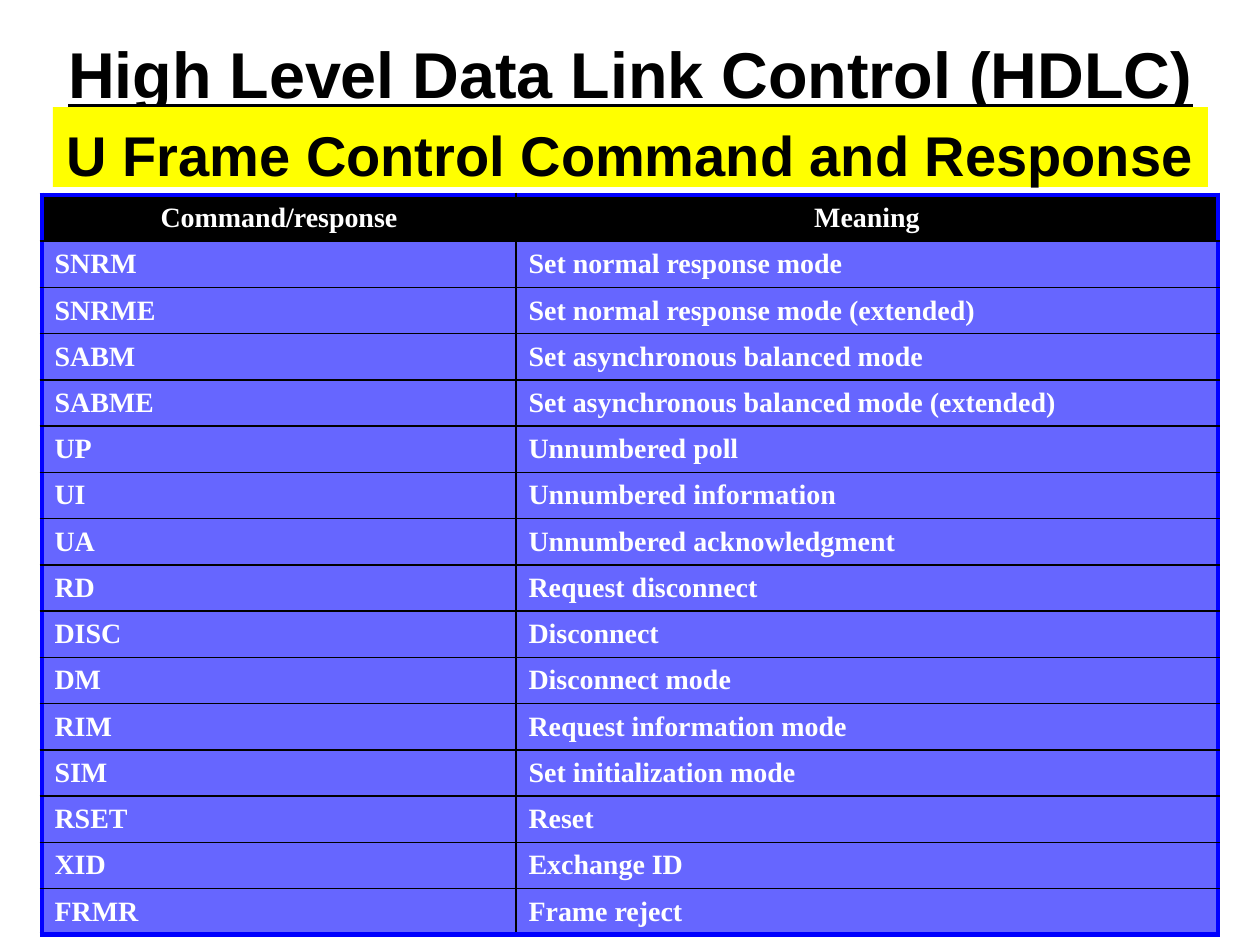
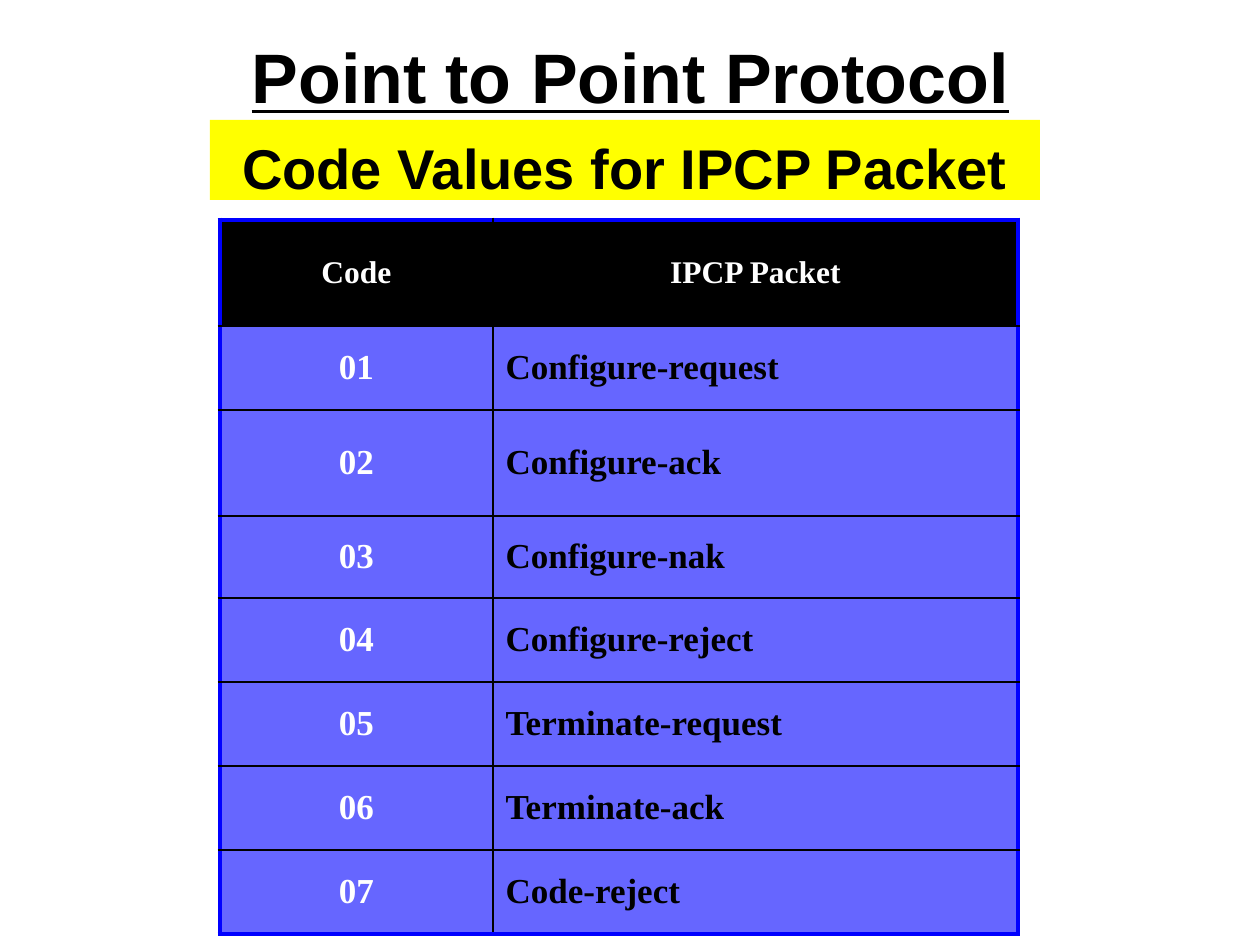
from lxml import etree
from pptx import Presentation
from pptx import util as u
from pptx.dml.color import RGBColor
from pptx.enum import shapes, text
from pptx.oxml import ns

PX = 914400 / 126
COLORS = {"black": "000000", "white": "FFFFFF", "band": "FFFF00",
          "body": "6666FF", "frame": "0000FF"}
HEADING_FONT, TABLE_FONT = "Arial", "Times New Roman"
LEFT, CENTER = text.PP_ALIGN.LEFT, text.PP_ALIGN.CENTER

COMMANDS = [
    ("Command/response", "Meaning"),
    ("SNRM", "Set normal response mode"),
    ("SNRME", "Set normal response mode (extended)"),
    ("SABM", "Set asynchronous balanced mode"),
    ("SABME", "Set asynchronous balanced mode (extended)"),
    ("UP", "Unnumbered poll"),
    ("UI", "Unnumbered information"),
    ("UA", "Unnumbered acknowledgment"),
    ("RD", "Request disconnect"),
    ("DISC", "Disconnect"),
    ("DM", "Disconnect mode"),
    ("RIM", "Request information mode"),
    ("SIM", "Set initialization mode"),
    ("RSET", "Reset"),
    ("XID", "Exchange ID"),
    ("FRMR", "Frame reject"),
]
PACKET_NAMES = ["Configure-request", "Configure-ack", "Configure-nak",
                "Configure-reject", "Terminate-request", "Terminate-ack",
                "Code-reject"]
PACKETS = [("Code", "IPCP Packet")] + [
    (f"{code:02}", name) for code, name in enumerate(PACKET_NAMES, 1)]


def px(length):
    return u.Emu(round(length * PX))


def rgb(name):
    return RGBColor.from_string(COLORS[name])


def write(frame, words, size, font=HEADING_FONT, color="black", align=CENTER,
          underline=False):
    para = frame.paragraphs[0]
    para.alignment = align
    span = para.add_run()
    span.text = words
    span.font.size = u.Pt(size)
    span.font.name = font
    span.font.bold = True
    span.font.underline = underline
    span.font.color.rgb = rgb(color)


def set_borders(cell, outer_sides):
    """Draw blue frame lines on the outer sides and thin black lines elsewhere."""
    properties = cell._tc.get_or_add_tcPr()
    for index, side in enumerate("LRTB"):
        color, width = ("frame", 3) if side in outer_sides else ("black", 1)
        line = etree.Element(ns.qn(f"a:ln{side}"), w=str(u.Pt(width)))
        fill = etree.SubElement(line, ns.qn("a:solidFill"))
        etree.SubElement(fill, ns.qn("a:srgbClr"), val=COLORS[color])
        properties.insert(index, line)


class SlideBuilder:
    def __init__(self, deck):
        self.deck = deck
        self.page = None

    def new_page(self):
        self.page = self.deck.slides.add_slide(self.deck.slide_layouts[6])

    def prepare_frame(self, box):
        frame = box.text_frame
        frame.word_wrap = True
        frame.vertical_anchor = text.MSO_ANCHOR.TOP
        frame.margin_top, frame.margin_bottom = px(13), 0
        return frame

    def title(self, words, size):
        box = self.page.shapes.add_textbox(px(32), px(21), px(1197), px(158))
        write(self.prepare_frame(box), words, size, underline=True)

    def band(self, words, left, top, width):
        box = self.page.shapes.add_shape(shapes.MSO_SHAPE.RECTANGLE, px(left),
                                         px(top), px(width), px(80))
        box.shadow.inherit = False
        box.fill.solid()
        box.fill.fore_color.rgb = rgb("band")
        box.line.fill.background()
        write(self.prepare_frame(box), words, 32)

    def table(self, rows, left, top, widths, heights, header_size, body_size,
              aligns, colors):
        """Fill a framed table; aligns and colors apply to the body columns."""
        grid = self.page.shapes.add_table(
            len(rows), len(widths), px(left), px(top),
            px(sum(widths)), px(sum(heights))).table
        grid.first_row = grid.horz_banding = False
        for column, width in zip(grid.columns, widths):
            column.width = px(width)
        for row, height in zip(grid.rows, heights):
            row.height = px(height)
        last_row, last_column = len(rows) - 1, len(widths) - 1
        for r, entries in enumerate(rows):
            for c, words in enumerate(entries):
                cell = grid.cell(r, c)
                cell.vertical_anchor = text.MSO_ANCHOR.MIDDLE
                cell.fill.solid()
                cell.fill.fore_color.rgb = rgb("body" if r else "black")
                edges = {"L": c == 0, "R": c == last_column,
                         "T": r == 0, "B": r == last_row}
                set_borders(cell, [side for side, outer in edges.items() if outer])
                write(cell.text_frame, words, body_size if r else header_size,
                      font=TABLE_FONT, color=colors[c] if r else "white",
                      align=aligns[c] if r else CENTER)


def main():
    deck = Presentation()
    deck.slide_width, deck.slide_height = px(1260), px(945)
    builder = SlideBuilder(deck)

    builder.new_page()
    builder.title("High Level Data Link Control (HDLC)", 37)
    builder.table(COMMANDS, 42, 195, [474, 702], [740 / len(COMMANDS)] * len(COMMANDS),
                  16, 16, [LEFT, LEFT], ["white", "white"])
    builder.band("U Frame Control Command and Response", 53, 107, 1155)

    builder.new_page()
    builder.title("Point to Point Protocol", 40)
    builder.band("Code Values for IPCP Packet", 210, 120, 830)
    builder.table(PACKETS, 220, 220, [273, 525], [106, 84, 106, 82, 84, 84, 84, 84],
                  18, 20, [CENTER, LEFT], ["white", "black"])

    deck.save("out.pptx")


if __name__ == "__main__":
    main()
